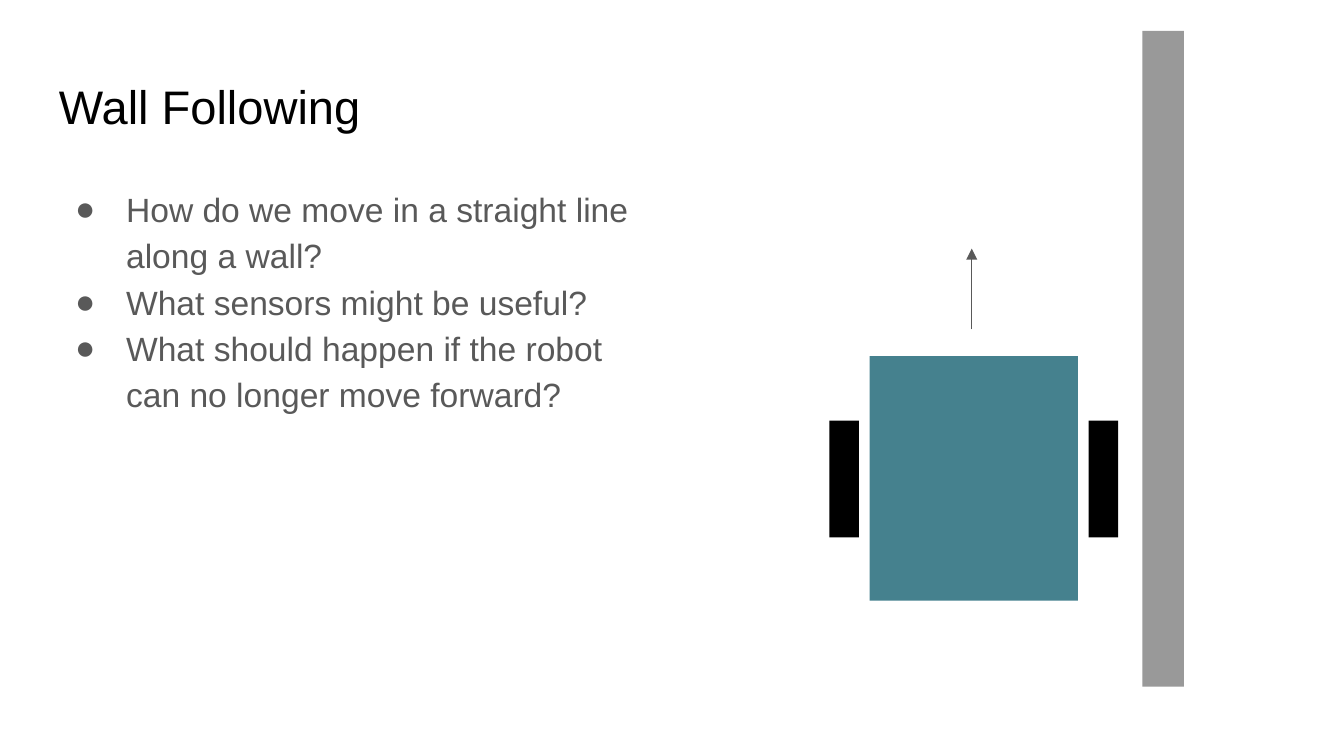
from dataclasses import dataclass

from lxml import etree
from pptx import Presentation
from pptx import util as u
from pptx.dml.color import RGBColor
from pptx.enum import shapes, text
from pptx.oxml import ns


@dataclass(frozen=True)
class Theme:
    font: str = "Arial"
    title_size: float = 25.2
    body_size: float = 18
    title: str = "000000"
    body: str = "595959"
    robot: str = "45818E"
    wheel: str = "000000"
    wall: str = "999999"
    background: str = "FFFFFF"


class Painter:
    def __init__(self, page, theme):
        self.page = page
        self.theme = theme
        fill = page.background.fill
        fill.solid()
        fill.fore_color.rgb = RGBColor.from_string(theme.background)

    def text_box(self, left, top, width, height):
        box = self.page.shapes.add_textbox(*map(u.Inches, (left, top, width, height)))
        frame = box.text_frame
        frame.word_wrap = True
        frame.vertical_anchor = text.MSO_ANCHOR.TOP
        frame.margin_left = frame.margin_right = u.Inches(0.1)
        frame.margin_top = frame.margin_bottom = u.Inches(0.1)
        return frame

    def span(self, para, words, size, color):
        span = para.add_run()
        span.text = words
        span.font.name = self.theme.font
        span.font.size = u.Pt(size)
        span.font.color.rgb = RGBColor.from_string(color)

    def title(self, words, *place):
        frame = self.text_box(*place)
        self.span(frame.paragraphs[0], words, self.theme.title_size, self.theme.title)

    def bullets(self, lines, *place):
        frame = self.text_box(*place)
        for index, line in enumerate(lines):
            para = frame.add_paragraph() if index else frame.paragraphs[0]
            para.line_spacing = 1.15
            self.bullet(para)
            self.span(para, line, self.theme.body_size, self.theme.body)

    def bullet(self, para):
        """Give the paragraph a hanging round bullet."""
        props = para._p.get_or_add_pPr()
        props.set("marL", str(u.Inches(0.5)))
        props.set("indent", str(u.Inches(-0.38)))
        color = etree.SubElement(props, ns.qn("a:buClr"))
        etree.SubElement(color, ns.qn("a:srgbClr"), val=self.theme.body)
        etree.SubElement(props, ns.qn("a:buFont"), typeface=self.theme.font)
        etree.SubElement(props, ns.qn("a:buChar"), char="●")

    def block(self, color, left, top, width, height):
        block = self.page.shapes.add_shape(
            shapes.MSO_SHAPE.RECTANGLE, *map(u.Inches, (left, top, width, height)))
        block.shadow.inherit = False
        block.fill.solid()
        block.fill.fore_color.rgb = RGBColor.from_string(color)
        block.line.fill.background()

    def arrow(self, *ends):
        arrow = self.page.shapes.add_connector(
            shapes.MSO_CONNECTOR.STRAIGHT, *map(u.Inches, ends))
        arrow.line.width = u.Pt(0.75)
        arrow.line.color.rgb = RGBColor.from_string(self.theme.body)
        etree.SubElement(arrow.line._get_or_add_ln(), ns.qn("a:tailEnd"), type="triangle")
        etree.SubElement(arrow._element.spPr, ns.qn("a:effectLst"))


def main():
    deck = Presentation()
    deck.slide_width = u.Inches(10)
    deck.slide_height = deck.slide_width * 9 // 16
    theme = Theme()
    painter = Painter(deck.slides.add_slide(deck.slide_layouts[6]), theme)

    painter.title("Wall Following", 0.34, 0.48, 9.32, 0.63)
    painter.bullets([
        "How do we move in a straight line along a wall?",
        "What sensors might be useful?",
        "What should happen if the robot can no longer move forward?",
    ], 0.34, 1.26, 4.66, 3.74)

    painter.block(theme.robot, 6.47, 2.65, 1.55, 1.82)
    for wheel_left in (6.17, 8.1):
        painter.block(theme.wheel, wheel_left, 3.13, 0.22, 0.87)
    painter.arrow(7.23, 2.45, 7.23, 1.85)
    painter.block(theme.wall, 8.5, 0.23, 0.31, 4.88)

    deck.save("out.pptx")


if __name__ == "__main__":
    main()
